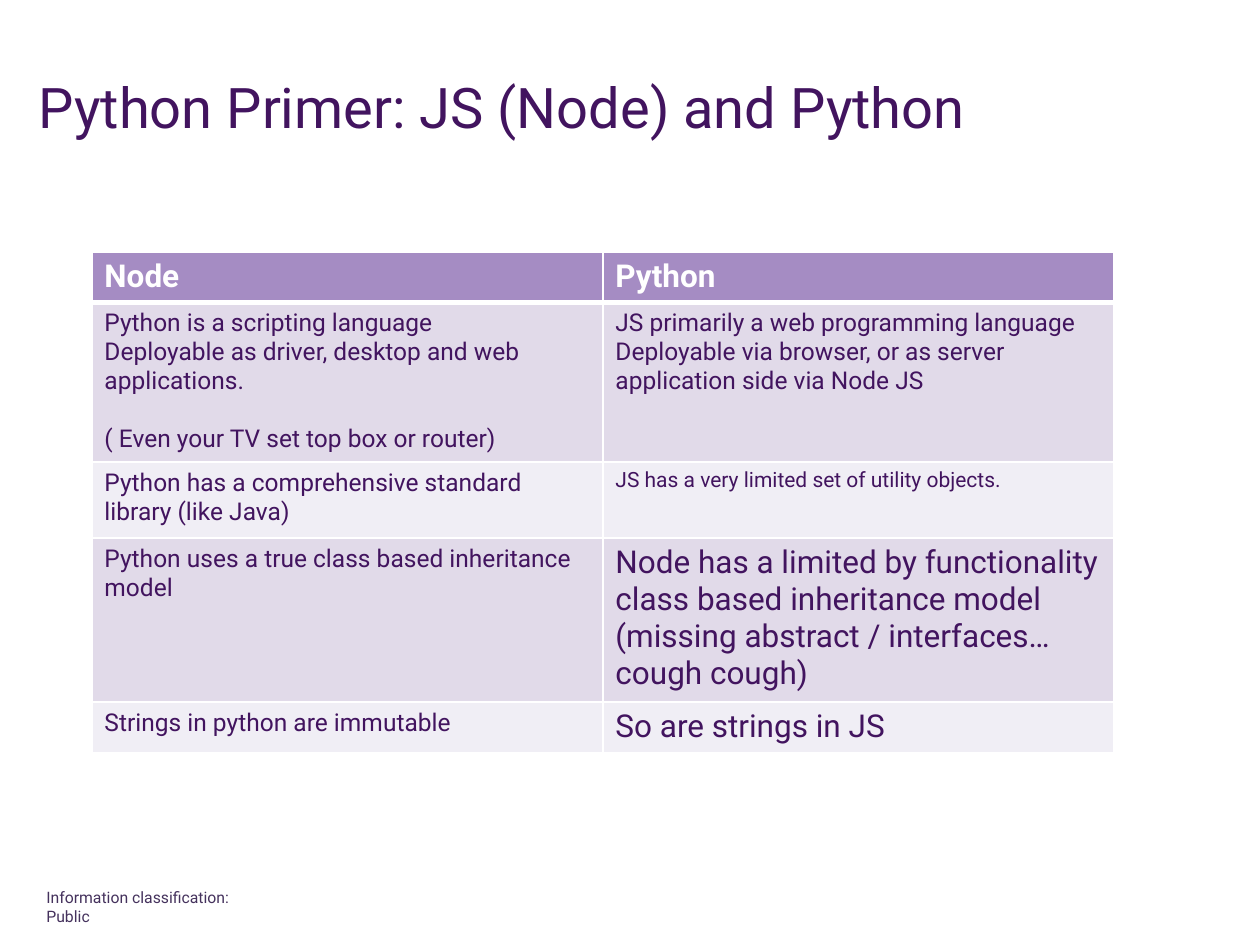
import dataclasses

import lxml.etree
import pptx
import pptx.dml.color
import pptx.enum.text
import pptx.oxml.ns
import pptx.util

Pt = pptx.util.Pt


@dataclasses.dataclass(frozen=True)
class Theme:
    font: str = "Roboto"
    ink: str = "42145F"
    footer_ink: str = "45325D"
    white: str = "FFFFFF"
    header_fill: str = "A58CC3"
    band_fills: tuple = ("E1DAE9", "F0EEF5")
    title_size: float = 32
    large: float = 18
    body: float = 14
    small: float = 12
    footer_size: float = 9
    rule: float = 1
    header_rule: float = 3


class SlideBuilder:
    def __init__(self, slide, theme):
        self.slide = slide
        self.theme = theme

    def style(self, paragraph, size, color, bold=False):
        paragraph.font.name = self.theme.font
        paragraph.font.size = Pt(size)
        paragraph.font.bold = bold
        paragraph.font.color.rgb = pptx.dml.color.RGBColor.from_string(color)

    def text(self, wording, left, top, width, height, size, color,
             anchor=pptx.enum.text.MSO_ANCHOR.TOP):
        frame = self.slide.shapes.add_textbox(
            Pt(left), Pt(top), Pt(width), Pt(height)).text_frame
        frame.word_wrap = True
        frame.vertical_anchor = anchor
        frame.text = wording
        paragraph = frame.paragraphs[0]
        self.style(paragraph, size, color)
        return paragraph

    def border(self, cell, side, weight):
        qn = pptx.oxml.ns.qn
        line = lxml.etree.SubElement(
            cell._tc.get_or_add_tcPr(), qn(f"a:ln{side}"), w=str(Pt(weight)))
        fill = lxml.etree.SubElement(line, qn("a:solidFill"))
        lxml.etree.SubElement(fill, qn("a:srgbClr"), val=self.theme.white)

    def cell(self, cell, wording, size, color, fill, bold, top_rule, bottom_rule):
        rule = self.theme.rule
        for side, weight in zip("LRTB", (rule, rule, top_rule, bottom_rule)):
            self.border(cell, side, weight)
        cell.fill.solid()
        cell.fill.fore_color.rgb = pptx.dml.color.RGBColor.from_string(fill)
        cell.text_frame.text = wording
        for paragraph in cell.text_frame.paragraphs:
            self.style(paragraph, size, color, bold)

    def table(self, rows, heights, left, top, width):
        theme = self.theme
        columns = len(rows[0])
        table = self.slide.shapes.add_table(
            len(rows), columns, Pt(left), Pt(top), Pt(width), Pt(sum(heights))).table
        for column in table.columns:
            column.width = Pt(width / columns)
        for r, (row, height) in enumerate(zip(rows, heights)):
            table.rows[r].height = Pt(height)
            header = r == 0
            color = theme.white if header else theme.ink
            fill = theme.header_fill if header else theme.band_fills[(r - 1) % 2]
            top_rule = theme.header_rule if r == 1 else theme.rule
            bottom_rule = theme.header_rule if header else theme.rule
            for c, (wording, size) in enumerate(row):
                self.cell(table.cell(r, c), wording, size, color, fill,
                          header, top_rule, bottom_rule)
        return table


def main():
    theme = Theme()
    deck = pptx.Presentation()
    deck.slide_width, deck.slide_height = Pt(720), Pt(540)
    builder = SlideBuilder(deck.slides.add_slide(deck.slide_layouts[6]), theme)

    title = builder.text("Python Primer: JS (Node) and Python", 15, 11, 621, 104,
                         theme.title_size, theme.ink, pptx.enum.text.MSO_ANCHOR.MIDDLE)
    title.line_spacing = 0.9
    builder.text("Information classiﬁcation: Public", 19.4, 504, 142, 18,
                 theme.footer_size, theme.footer_ink)

    comparison = [
        [("Node", theme.large), ("Python", theme.large)],
        [("Python is a scripting language\n"
          "Deployable as driver, desktop and web applications.\n"
          "( Even your TV set top box or router)", theme.body),
         ("JS primarily a web programming language\v"
          "Deployable via browser, or as server application side via Node JS",
          theme.body)],
        [("Python has a comprehensive standard library (like Java)", theme.body),
         ("JS has a very limited set of utility objects.", theme.small)],
        [("Python uses a true class based inheritance model", theme.body),
         ("Node has a limited by functionality class based inheritance model\v"
          "(missing abstract / interfaces… cough cough)", theme.large)],
        [("Strings in python are immutable", theme.body),
         ("So are strings in JS", theme.large)],
    ]
    table = builder.table(comparison, [29, 91, 43.5, 93.5, 29], 52.5, 144, 584)
    router_remark = table.cell(1, 0).text_frame.paragraphs[-1]
    router_remark.space_before = Pt(16.5)

    deck.save("out.pptx")


if __name__ == "__main__":
    main()
